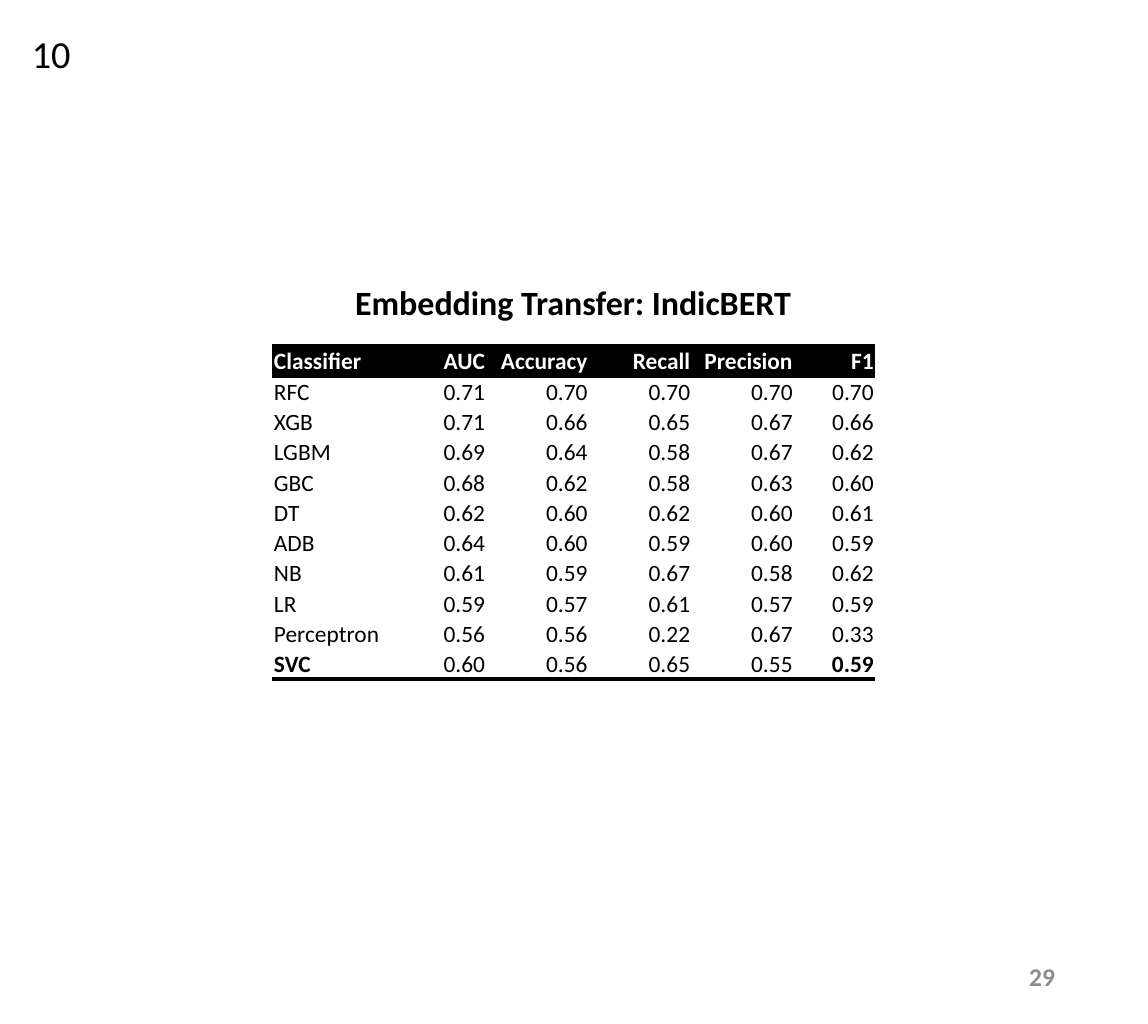
import pptx
import pptx.util
import pptx.dml.color
import pptx.enum.text
import pptx.oxml.ns
from lxml import etree

Inches, Pt = pptx.util.Inches, pptx.util.Pt
RGBColor = pptx.dml.color.RGBColor
ALIGN, ANCHOR = pptx.enum.text.PP_ALIGN, pptx.enum.text.MSO_ANCHOR
qn = pptx.oxml.ns.qn

# Content
HEADER = ("Classifier", "AUC", "Accuracy", "Recall", "Precision", "F1")
RESULTS = [
    ("RFC", 0.71, 0.70, 0.70, 0.70, 0.70),
    ("XGB", 0.71, 0.66, 0.65, 0.67, 0.66),
    ("LGBM", 0.69, 0.64, 0.58, 0.67, 0.62),
    ("GBC", 0.68, 0.62, 0.58, 0.63, 0.60),
    ("DT", 0.62, 0.60, 0.62, 0.60, 0.61),
    ("ADB", 0.64, 0.60, 0.59, 0.60, 0.59),
    ("NB", 0.61, 0.59, 0.67, 0.58, 0.62),
    ("LR", 0.59, 0.57, 0.61, 0.57, 0.59),
    ("Perceptron", 0.56, 0.56, 0.22, 0.67, 0.33),
    ("SVC", 0.60, 0.56, 0.65, 0.55, 0.59),
]
BOLD_RESULTS = {(len(RESULTS), 0), (len(RESULTS), 5)}
COL_WIDTHS = (0.73, 0.67, 0.67, 0.67, 0.67, 0.53)

BLACK = RGBColor(0x00, 0x00, 0x00)
WHITE = RGBColor(0xFF, 0xFF, 0xFF)
GRAY = RGBColor(0x8C, 0x8C, 0x8C)
NO_STYLE = "{2D5ABB26-0587-4C30-8999-92F81FD0307C}"

# text, (left, top, width, height), size, colour, bold, align, anchor, wrap
LABELS = [
    ("Embedding Transfer: IndicBERT", (1.59, 1.79, 4.31, 0.37),
     16, BLACK, True, ALIGN.CENTER, ANCHOR.TOP, True),
    ("29", (5.3, 6.2, 1.69, 0.36),
     12, GRAY, True, ALIGN.RIGHT, ANCHOR.MIDDLE, True),
    ("10", (0.11, 0.15, 0.46, 0.4),
     18, BLACK, False, ALIGN.LEFT, ANCHOR.TOP, False),
]


def write(tf, text, size, color, bold, align):
    tf.text = text
    p = tf.paragraphs[0]
    p.alignment = align
    font = p.runs[0].font
    font.name, font.size, font.bold = "Calibri", Pt(size), bold
    font.color.rgb = color


def add_border(cell, side):
    ln = etree.SubElement(cell._tc.get_or_add_tcPr(), qn("a:" + side), w=str(Pt(2)))
    fill = etree.SubElement(ln, qn("a:solidFill"))
    etree.SubElement(fill, qn("a:srgbClr"), val=str(BLACK))


prs = pptx.Presentation()
prs.slide_width, prs.slide_height = Inches(7.5), Inches(6.69)
s = prs.slides.add_slide(prs.slide_layouts[6])

# Title and numbers
for text, box, size, color, bold, align, anchor, wrap in LABELS:
    tf = s.shapes.add_textbox(*map(Inches, box)).text_frame
    tf.word_wrap = wrap
    tf.vertical_anchor = anchor
    write(tf, text, size, color, bold, align)

# Results table
rows = [HEADER] + [(name, *(f"{v:.2f}" for v in scores)) for name, *scores in RESULTS]
table = s.shapes.add_table(len(rows), len(HEADER), Inches(1.78), Inches(2.26),
                           Inches(sum(COL_WIDTHS)), Inches(2.18)).table
table.first_row = table.horz_banding = False
table._tbl.tblPr.find(qn("a:tableStyleId")).text = NO_STYLE
for col, width in zip(table.columns, COL_WIDTHS):
    col.width = Inches(width)

for i, row in enumerate(rows):
    head = i == 0
    for j, text in enumerate(row):
        cell = table.cell(i, j)
        cell.margin_left = cell.margin_right = cell.margin_top = Inches(0.01)
        cell.margin_bottom = 0
        cell.vertical_anchor = ANCHOR.BOTTOM
        if head:
            add_border(cell, "lnT")
        if head or i == len(rows) - 1:
            add_border(cell, "lnB")
        cell.fill.solid()
        cell.fill.fore_color.rgb = BLACK if head else WHITE
        write(cell.text_frame, text, 11, WHITE if head else BLACK,
              head or (i, j) in BOLD_RESULTS, ALIGN.RIGHT if j else ALIGN.LEFT)

prs.save("out.pptx")
